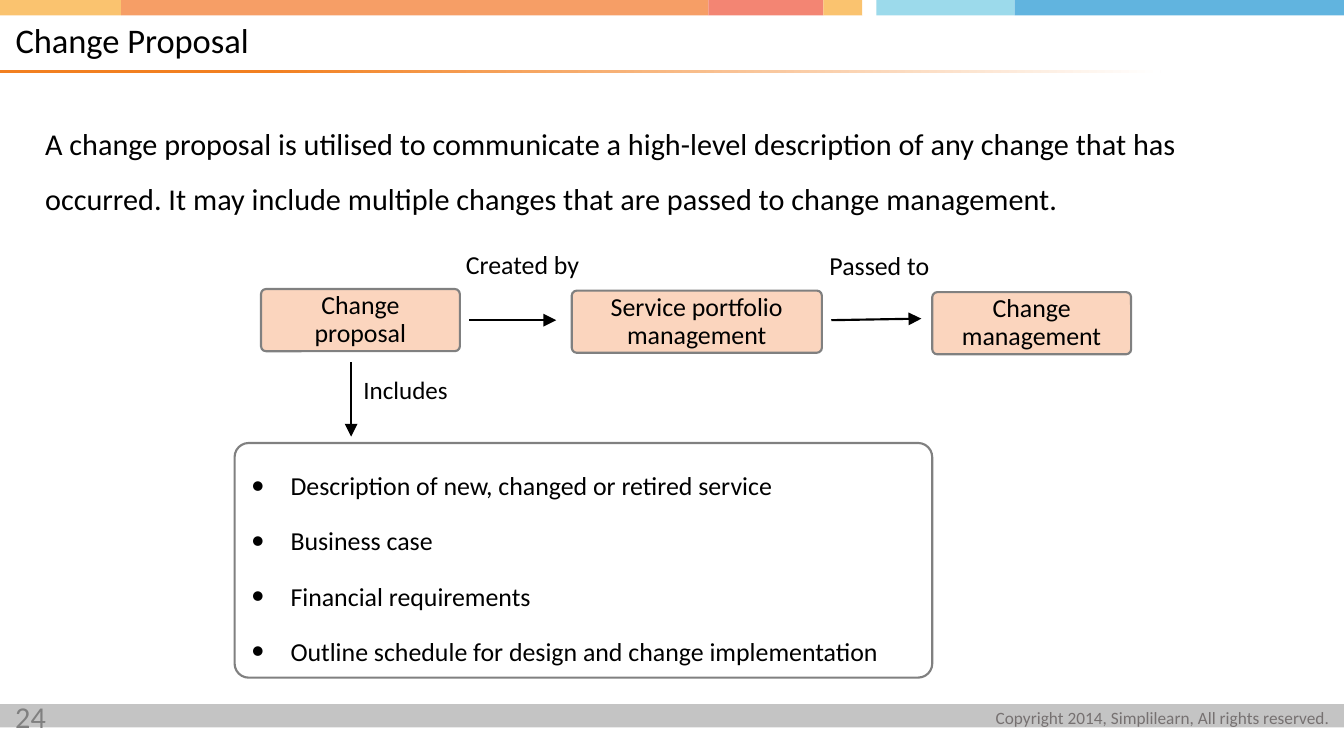
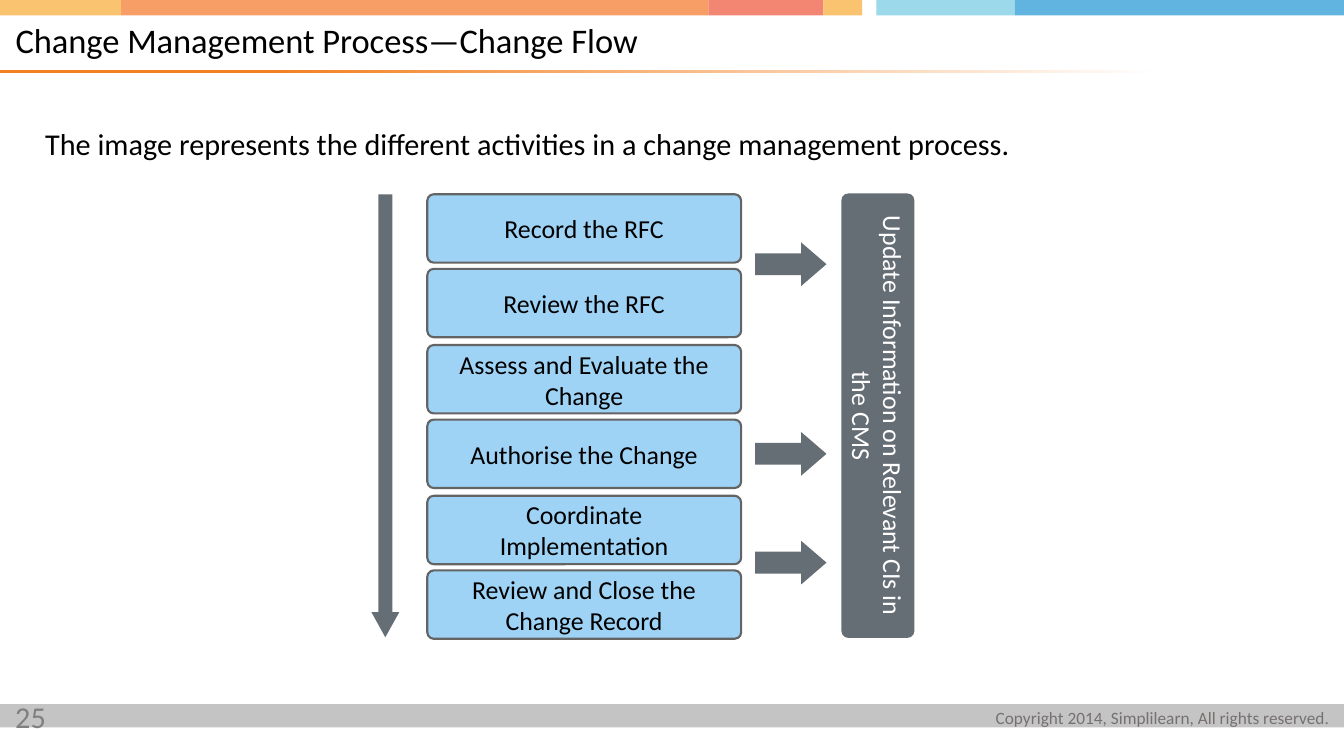
import dataclasses
import typing

import lxml.etree
import pptx
import pptx.dml.color
import pptx.enum.shapes
import pptx.enum.text
import pptx.oxml.ns
import pptx.util

PX = 9144
Kind = pptx.enum.shapes.MSO_SHAPE
Align = pptx.enum.text.PP_ALIGN
Anchor = pptx.enum.text.MSO_ANCHOR
qn = pptx.oxml.ns.qn


@dataclasses.dataclass(frozen=True)
class Theme:
    font: str = "Calibri"
    ink: str = "000000"
    white: str = "FFFFFF"
    footer_fill: str = "C4C4C4"
    footer_ink: str = "767171"
    number_ink: str = "808080"
    accent: str = "F28020"
    peach: str = "FBD1B7"
    peach_line: str = "808080"
    sky: str = "9ED3F6"
    sky_line: str = "646464"
    slate: str = "666E75"
    title_size: float = 16
    body_size: float = 14
    label_size: float = 12
    small_label_size: float = 11.6
    copyright_size: float = 8


THEME = Theme()


class Box(typing.NamedTuple):
    left: int
    top: int
    width: int
    height: int


class Band(typing.NamedTuple):
    left: int
    right: int
    color: str


class Card(typing.NamedTuple):
    text: str
    box: Box


class Label(typing.NamedTuple):
    text: str
    box: Box
    size: float


class Arrow(typing.NamedTuple):
    start: tuple[int, int]
    end: tuple[int, int]


SLIDE_WIDTH, SLIDE_HEIGHT = 865, 469
BANDS = [
    Band(0, 78, "FAC36F"),
    Band(78, 456, "F69E66"),
    Band(456, 530, "F38573"),
    Band(530, 555, "FAC36F"),
    Band(555, 564, "FFFFFF"),
    Band(564, 653, "9CDAEB"),
    Band(653, 865, "61B4DF"),
]
CARDS = [
    Card("Change proposal", Box(168, 186, 128, 40)),
    Card("Service portfolio management", Box(368, 187, 161, 40)),
    Card("Change management", Box(600, 188, 128, 40)),
]
LABELS = [
    Label("Created by", Box(290, 157, 115, 34), THEME.label_size),
    Label("Passed to", Box(524, 158, 115, 34), THEME.label_size),
    Label("Includes", Box(224, 238, 115, 34), THEME.small_label_size),
]
ARROWS = [
    Arrow((302, 206), (358, 206)),
    Arrow((535, 206), (593, 205)),
    Arrow((226, 233), (226, 281)),
]
CONTENTS = [
    "Description of new, changed or retired service",
    "Business case",
    "Financial requirements",
    "Outline schedule for design and change implementation",
]
STEPS = [
    "Record the RFC",
    "Review the RFC",
    "Assess and Evaluate the\nChange",
    "Authorise the Change",
    "Coordinate\nImplementation",
    "Review and Close the\nChange Record",
]
FIRST_STEP, LAST_STEP_TOP = Box(275, 125, 202, 44), 367
UPDATE_ARROW_TOPS = [156, 278, 348]


def rgb(color: str) -> pptx.dml.color.RGBColor:
    return pptx.dml.color.RGBColor.from_string(color)


def place(shape, box: Box) -> None:
    shape.left, shape.top, shape.width, shape.height = (value * PX for value in box)


def set_bullet(para, bullet: str) -> None:
    properties = para._p.get_or_add_pPr()
    properties.set("marL", str(25 * PX if bullet else 0))
    properties.set("indent", str(-25 * PX if bullet else 0))
    if bullet:
        lxml.etree.SubElement(properties, qn("a:buSzPct"), val="80000")
        lxml.etree.SubElement(properties, qn("a:buFont"), typeface=THEME.font)
        lxml.etree.SubElement(properties, qn("a:buChar"), char=bullet)
    else:
        lxml.etree.SubElement(properties, qn("a:buNone"))


def write(shape, text: str, *, size: float, color: str = THEME.ink,
          align=Align.LEFT, anchor=Anchor.TOP, spacing: float = 1.0,
          after: float = 0, insets: tuple[int, int, int, int] = (10, 5, 10, 5),
          bullet: str = "", wrap: bool = True) -> None:
    frame = shape.text_frame
    frame.auto_size = pptx.enum.text.MSO_AUTO_SIZE.NONE
    frame.word_wrap = wrap
    frame.vertical_anchor = anchor
    frame.margin_left, frame.margin_top, frame.margin_right, frame.margin_bottom = (
        inset * PX for inset in insets)
    for index, line in enumerate(text.split("\n")):
        para = frame.add_paragraph() if index else frame.paragraphs[0]
        set_bullet(para, bullet)
        para.alignment = align
        para.line_spacing = spacing
        para.space_before = pptx.util.Pt(0)
        para.space_after = pptx.util.Pt(after)
        span = para.add_run()
        span.text = line
        span.font.name = THEME.font
        span.font.size = pptx.util.Pt(size)
        span.font.color.rgb = rgb(color)


def add_shape(slide, kind, box: Box, *, fill: str = "", line: str = "",
              adjustments: tuple[float, ...] = (), opacity: int = 100):
    shape = slide.shapes.add_shape(kind, *(value * PX for value in box))
    shape.shadow.inherit = False
    for index, value in enumerate(adjustments):
        shape.adjustments[index] = value
    if fill:
        shape.fill.solid()
        shape.fill.fore_color.rgb = rgb(fill)
    else:
        shape.fill.background()
    if opacity < 100:
        color = shape.element.spPr.find(qn("a:solidFill")).find(qn("a:srgbClr"))
        lxml.etree.SubElement(color, qn("a:alpha"), val=str(opacity * 1000))
    if line:
        shape.line.color.rgb = rgb(line)
        shape.line.width = pptx.util.Pt(1)
    else:
        shape.line.fill.background()
    return shape


def add_text(slide, text: str, box: Box, **style):
    shape = slide.shapes.add_textbox(*(value * PX for value in box))
    write(shape, text, **style)
    return shape


def add_arrow(slide, arrow: Arrow) -> None:
    connector = slide.shapes.add_connector(
        pptx.enum.shapes.MSO_CONNECTOR.STRAIGHT,
        *(value * PX for value in arrow.start + arrow.end))
    connector.line.color.rgb = rgb(THEME.ink)
    connector.line.width = pptx.util.Pt(1)
    line = connector.line._get_or_add_ln()
    lxml.etree.SubElement(line, qn("a:tailEnd"), type="triangle")
    lxml.etree.SubElement(connector.element.spPr, qn("a:effectLst"))


def furnish_master(deck, slide) -> None:
    footer = add_shape(slide, Kind.RECTANGLE, Box(0, 453, SLIDE_WIDTH, 15),
                       fill=THEME.footer_fill)
    notice = add_text(slide, "Copyright 2014, Simplilearn, All rights reserved.",
                      Box(640, 450, 216, 24), size=THEME.copyright_size,
                      color=THEME.footer_ink, align=Align.RIGHT, insets=(0, 5, 0, 5))
    bands = [add_shape(slide, Kind.RECTANGLE,
                       Box(band.left, 0, band.right - band.left, 10), fill=band.color)
             for band in BANDS]
    rule = add_shape(slide, Kind.RECTANGLE, Box(0, 45, 747, 2))
    rule.fill.gradient()
    rule.fill.gradient_angle = 0
    stops = zip(rule.fill.gradient_stops, (0.23, 1), (THEME.accent, THEME.white))
    for stop, position, color in stops:
        stop.position = position
        stop.color.rgb = rgb(color)
    for number, shape in enumerate([footer, notice, *bands, rule], 100):
        shape.element.nvSpPr.cNvPr.set("id", str(number))
        deck.slide_master.shapes.element.append(shape.element)


def start_page(deck, layout: int, number: int, title: str, intro: str,
               intro_height: int):
    page = deck.slides.add_slide(deck.slide_layouts[layout])
    place(page.shapes.title, Box(0, 10, 708, 34))
    write(page.shapes.title, title, size=THEME.title_size, anchor=Anchor.MIDDLE,
          spacing=0.9, insets=(10, 0, 0, 0))
    body = page.placeholders[1]
    place(body, Box(19, 64, 824, intro_height))
    write(body, intro, size=THEME.body_size, spacing=1.5)
    add_text(page, str(number), Box(0, 444, 63, 25), size=THEME.body_size,
             color=THEME.number_ink)
    return page


def build_proposal(deck):
    page = start_page(
        deck, 3, 24, "Change Proposal",
        "A change proposal is utilised to communicate a high-level description of "
        "any change that has occurred. It may include multiple changes that are "
        "passed to change management.", 79)
    for card in CARDS:
        shape = add_shape(page, Kind.ROUNDED_RECTANGLE, card.box, fill=THEME.peach,
                          line=THEME.peach_line, adjustments=(0.08,), opacity=90)
        write(shape, card.text, size=THEME.label_size, align=Align.CENTER,
              anchor=Anchor.MIDDLE, spacing=0.9, insets=(11, 11, 11, 11))
    for arrow in ARROWS:
        add_arrow(page, arrow)
    for label in LABELS:
        add_text(page, label.text, label.box, size=label.size, spacing=0.9)
    frame = Box(151, 285, 449, 151)
    add_shape(page, Kind.ROUNDED_RECTANGLE, frame, line=THEME.peach_line,
              adjustments=(0.06,))
    contents = page.placeholders[2]
    place(contents, frame)
    write(contents, "\n".join(CONTENTS), size=THEME.label_size, anchor=Anchor.MIDDLE,
          spacing=1.5, after=4, insets=(11, 11, 11, 11), bullet="●")
    return page


def build_flow(deck) -> None:
    page = start_page(
        deck, 1, 25, "Change Management Process—Change Flow",
        "The image represents the different activities in a change management process.",
        61)
    pitch = (LAST_STEP_TOP - FIRST_STEP.top) / (len(STEPS) - 1)
    for index, step in enumerate(STEPS):
        box = FIRST_STEP._replace(top=round(FIRST_STEP.top + index * pitch))
        shape = add_shape(page, Kind.ROUNDED_RECTANGLE, box, fill=THEME.sky,
                          line=THEME.sky_line, adjustments=(0.095,))
        write(shape, step, size=THEME.label_size, align=Align.CENTER,
              anchor=Anchor.MIDDLE)
    add_shape(page, Kind.DOWN_ARROW, Box(239, 125, 18, 285), fill=THEME.slate,
              adjustments=(0.5, 0.9))
    for top in UPDATE_ARROW_TOPS:
        add_shape(page, Kind.RIGHT_ARROW, Box(486, top, 46, 28), fill=THEME.slate,
                  adjustments=(0.5, 0.58))
    update = add_shape(page, Kind.ROUNDED_RECTANGLE, Box(422, 244, 286, 47),
                       fill=THEME.slate, adjustments=(0.095,))
    update.rotation = 90
    write(update, "Update Information on Relevant CIs in the CMS",
          size=THEME.label_size, color=THEME.white, align=Align.CENTER,
          anchor=Anchor.MIDDLE)


def main() -> None:
    deck = pptx.Presentation()
    deck.slide_width, deck.slide_height = SLIDE_WIDTH * PX, SLIDE_HEIGHT * PX
    furnish_master(deck, build_proposal(deck))
    build_flow(deck)
    deck.save("out.pptx")


if __name__ == "__main__":
    main()
